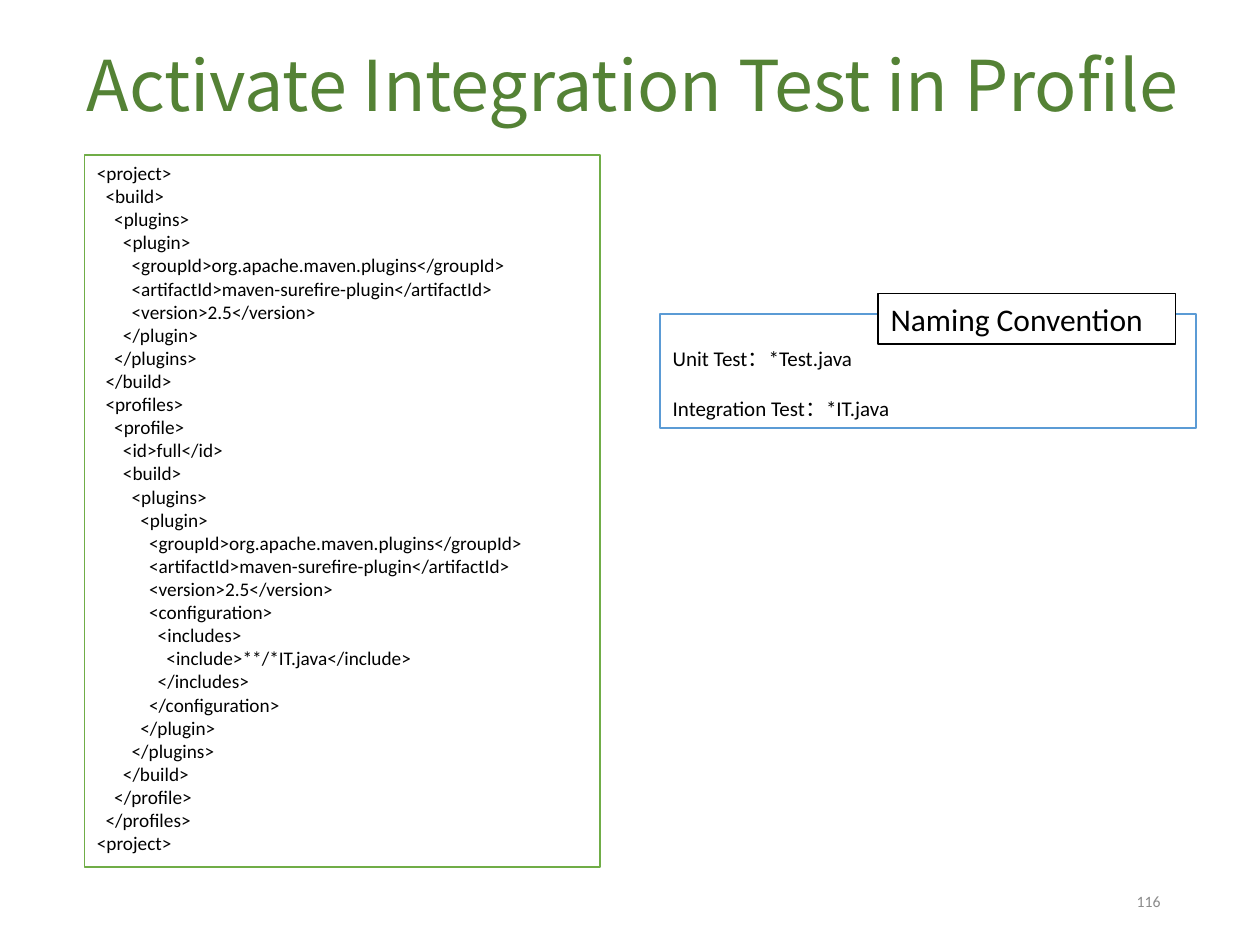
from dataclasses import dataclass
from typing import Optional

from pptx import Presentation
from pptx.dml.color import RGBColor
from pptx.enum.text import MSO_ANCHOR, PP_ALIGN
from pptx.enum.shapes import MSO_SHAPE
from pptx.util import Inches, Pt

COLORS = {
    "title": "548235",
    "code border": "70AD47",
    "naming border": "5B9BD5",
    "black": "000000",
    "white": "FFFFFF",
    "page number": "8C8C8C",
}

POM_CODE = """\
<project>
  <build>
    <plugins>
      <plugin>
        <groupId>org.apache.maven.plugins</groupId>
        <artifactId>maven-surefire-plugin</artifactId>
        <version>2.5</version>
      </plugin>
    </plugins>
  </build>
  <profiles>
    <profile>
      <id>full</id>
      <build>
        <plugins>
          <plugin>
            <groupId>org.apache.maven.plugins</groupId>
            <artifactId>maven-surefire-plugin</artifactId>
            <version>2.5</version>
            <configuration>
              <includes>
                <include>**/*IT.java</include>
              </includes>
            </configuration>
          </plugin>
        </plugins>
      </build>
    </profile>
  </profiles>
<project>"""


@dataclass
class TextBlock:
    text: str
    left: float
    top: float
    width: float
    height: float
    size: float
    color: str = "black"
    font: str = "Calibri"
    border: Optional[str] = None
    align: PP_ALIGN = PP_ALIGN.LEFT
    anchor: MSO_ANCHOR = MSO_ANCHOR.TOP
    top_inset: float = 0.05
    gap: float = 0
    line_spacing: float = 1.0


BLOCKS = [
    TextBlock("Activate Integration Test in Profile", 0.59, 0.36, 8.98, 0.77, 40,
              color="title", font="Noto Sans CJK JP", line_spacing=0.9),
    TextBlock(POM_CODE, 0.67, 1.23, 4.09, 5.65, 11, border="code border"),
    TextBlock("Unit Test：*Test.java\nIntegration Test：*IT.java", 5.24, 2.49, 4.25, 0.91, 12,
              border="naming border", top_inset=0.25, gap=14.6),
    TextBlock("Naming Convention", 6.97, 2.33, 2.36, 0.4, 18, border="black"),
    TextBlock("116", 7.06, 6.95, 2.25, 0.4, 9, color="page number",
              align=PP_ALIGN.RIGHT, anchor=MSO_ANCHOR.MIDDLE),
]


def rgb(name: str) -> RGBColor:
    return RGBColor.from_string(COLORS[name])


def add_block(page, block: TextBlock) -> None:
    """Draw a plain text box, or a white rectangle if the block has a border."""
    place = [Inches(n) for n in (block.left, block.top, block.width, block.height)]
    if block.border:
        box = page.shapes.add_shape(MSO_SHAPE.RECTANGLE, *place)
        box.shadow.inherit = False
        box.fill.solid()
        box.fill.fore_color.rgb = rgb("white")
        box.line.color.rgb = rgb(block.border)
        box.line.width = Pt(1)
    else:
        box = page.shapes.add_textbox(*place)
    frame = box.text_frame
    frame.word_wrap = True
    frame.vertical_anchor = block.anchor
    frame.margin_top = Inches(block.top_inset)
    frame.text = block.text
    for index, paragraph in enumerate(frame.paragraphs):
        paragraph.alignment = block.align
        paragraph.line_spacing = block.line_spacing
        if index and block.gap:
            paragraph.space_before = Pt(block.gap)
        paragraph.font.size = Pt(block.size)
        paragraph.font.name = block.font
        paragraph.font.color.rgb = rgb(block.color)


def main() -> None:
    deck = Presentation()
    deck.slide_width, deck.slide_height = Inches(10), Inches(7.5)
    page = deck.slides.add_slide(deck.slide_layouts[6])
    for block in BLOCKS:
        add_block(page, block)
    deck.save("out.pptx")


if __name__ == "__main__":
    main()
